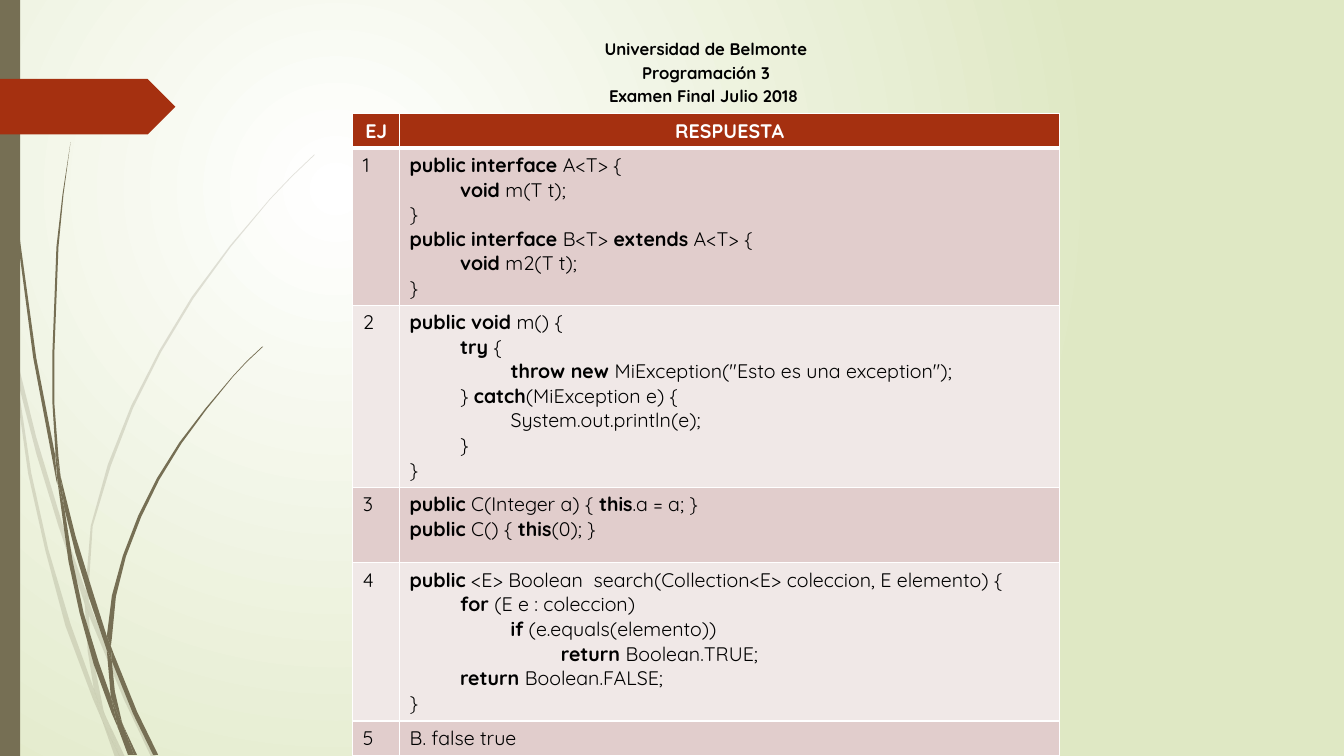
from dataclasses import dataclass
from lxml.etree import SubElement as Sub
from pptx import Presentation
from pptx.dml.color import RGBColor as Rgb
from pptx.enum.shapes import MSO_SHAPE as Kind
from pptx.enum.text import PP_ALIGN as Align
from pptx.oxml.ns import qn
from pptx.util import Pt


@dataclass(frozen=True)
class Theme:
    """Colours, font and type sizes of the slide."""
    font: str = "Quicksand"
    head: int = 12
    body: int = 14
    ink: str = "000000"
    white: str = "FFFFFF"
    lime: str = "DFE8C4"
    olive: str = "766F54"
    rust: str = "A53010"
    bands: tuple = ("E1CDCC", "F0E8E7")
    faint: int = 20


T = Theme()
STEP = 36
UNIT = 0.72
TITLE = ["Universidad de Belmonte", "Programación 3", "Examen Final Julio 2018 "]
COLS = [33.5, 471.5]
ROWS = [
    (24.5, ["EJ"], ["RESPUESTA"]),
    (112.4, ["1"], ["*public interface* A<T> {", "\t*void* m(T t);", "}",
                    "*public interface* B<T> *extends* A<T> {",
                    "\t*void* m2(T t);", "}"]),
    (130, ["2"], ["*public void* m() {", "\t*try* {",
                  '\t\t*throw new *MiException("Esto es una exception");',
                  "\t} *catch*(MiException e) {",
                  "\t\tSystem.out.println(e);", "\t}", "}"]),
    (54, ["3"], ["*public* C(Integer a) { *this*.a = a; }",
                 "*public* C() { *this*(0); }"]),
    (113, ["4"], ["*public* <E> Boolean  search(Collection<E> coleccion, E elemento) {",
                  "\t*for* (E e : coleccion)", "\t\t*if* (e.equals(elemento))",
                  "\t\t\t*return *Boolean.TRUE;", "\t*return *Boolean.FALSE;", "}"]),
    (25, ["5"], ["B. false true"]),
]
FAINT = [
    "11,350 9,322 0,282 0,299 10,344",
    "58,522 84,599 85,586 62,520 36,434 14,345 17,376 36,450",
    "92,607 88,596 88,610 123,694 150,751 155,751 127,692",
    "119,751 124,751 105,711",
    "93,683 70,619 48,545 31,469 17,376 11,350 28,470 45,546 65,621 92,693 101,714 99,707",
    "84,599 87,646 93,683 96,692 105,711 103,706 91,646 88,610 88,608",
    "88,584 92,522 110,462 132,405 160,349 192,296 229,245 268,198 290,175 312,154 312,153 "
    "289,175 268,197 228,244 190,295 158,348 130,403 107,461 90,522 85,584 85,586 88,596",
    "101,714 114,751 119,751",
    "88,608 88,610 88,596 85,586 84,599",
    "96,692 93,683 99,707 101,714 119,751 105,711",
]
SOLID = [
    "7,110 17,233 33,355 56,477 57,481 55,457 55,453 36,355 19,232 8,109 5,48 4,0 3,0 4,48",
    "88,592 106,645 106,631 93,590 75,532 60,472 64,505 75,549",
    "113,649 110,641 111,656 132,708 152,749 157,749 136,706",
    "110,691 98,657 83,608 72,556 64,505 57,477 68,557 79,608 93,659 111,708 117,722 116,717",
    "60,472 58,453 54,401 54,349 58,245 63,193 70,141 62,193 56,245 52,349 52,400 55,449",
    "133,749 136,749 122,719",
    "57,477 64,505 60,472 55,449 55,453",
    "111,633 115,592 125,552 140,513 158,476 180,440 205,406 231,374 245,359 261,344 260,344 "
    "245,358 231,373 204,405 178,439 156,474 137,512 122,551 111,591 106,631 110,641",
    "117,722 127,749 131,749",
    "106,645 110,691 116,706 122,719 121,716 114,686 111,656 109,651",
    "106,645 109,651 111,656 110,641 106,631",
    "116,706 110,691 116,717 117,722 130,749 133,749 122,719",
]


def paint(shape, color):
    """Give a shape a flat fill with no line or shadow."""
    shape.shadow.inherit = False
    shape.fill.solid()
    shape.fill.fore_color.rgb = Rgb.from_string(color)
    shape.line.fill.background()


def style(par, size, color):
    """Set the font of a paragraph."""
    par.font.name, par.font.size = T.font, Pt(size)
    par.font.color.rgb = Rgb.from_string(color)


def blade(slide, box, text, alpha=100):
    """Draw one piece of grass from its outline in grid units."""
    pairs = [map(int, pair.split(",")) for pair in text.split()]
    dots = [(Pt(box[0] + x * UNIT), Pt(box[1] + y * UNIT)) for x, y in pairs]
    pen = slide.shapes.build_freeform(*dots[0])
    pen.add_line_segments(dots[1:])
    shape = pen.convert_to_shape()
    paint(shape, T.olive)
    if alpha < 100:
        tint = shape._element.spPr.find(qn("a:solidFill"))[0]
        Sub(tint, qn("a:alpha"), val=str(alpha * 1000))


def decor(slide, box):
    """Draw the grass, the side bar and the arrow tag."""
    x, y, _, high = box
    for text in FAINT:
        blade(slide, box, text, T.faint)
    for text in SOLID:
        blade(slide, box, text)
    bar = slide.shapes.add_shape(Kind.RECTANGLE, Pt(x), Pt(y), Pt(14.4), Pt(high))
    paint(bar, T.olive)
    tag = slide.shapes.add_shape(Kind.PENTAGON, Pt(x), Pt(y + 56.3), Pt(125.3), Pt(39.8))
    paint(tag, T.rust)


def title(slide, box):
    """Place the centred heading lines."""
    frame = slide.shapes.add_textbox(*map(Pt, box)).text_frame
    frame.word_wrap = True
    for i, line in enumerate(TITLE):
        par = frame.add_paragraph() if i else frame.paragraphs[0]
        par.text, par.alignment = line, Align.CENTER
        par.space_before = Pt(T.head * 0.2)
        style(par, T.head, T.ink)
        par.font.bold = True


def write(cell, lines, head):
    """Fill a cell with lines: tabs indent, stars mark bold."""
    for i, line in enumerate(lines):
        par = cell.text_frame.add_paragraph() if i else cell.text_frame.paragraphs[0]
        style(par, T.body, T.white if head else T.ink)
        par.level = line.count("\t")
        par._p.get_or_add_pPr().set("marL", str(Pt(STEP * par.level)))
        if head:
            par.alignment = Align.CENTER
        for n, part in enumerate(line.strip("\t").split("*")):
            if part:
                run = par.add_run()
                run.text, run.font.bold = part, head or n % 2 == 1


def edge(cell, base):
    """Draw white borders, with the given width at the bottom."""
    props = cell._tc.get_or_add_tcPr()
    for side in "LRTB":
        wide = base if side == "B" else 1
        line = Sub(props, qn("a:ln" + side), w=str(Pt(wide)))
        Sub(Sub(line, qn("a:solidFill")), qn("a:srgbClr"), val=T.white)


def answers(slide, box):
    """Build the table of answers."""
    grid = slide.shapes.add_table(len(ROWS), len(COLS), *map(Pt, box)).table
    for col, wide in zip(grid.columns, COLS):
        col.width = Pt(wide)
    for r, (high, *texts) in enumerate(ROWS):
        grid.rows[r].height = Pt(high)
        for c, lines in enumerate(texts):
            cell = grid.cell(r, c)
            write(cell, lines, r == 0)
            edge(cell, 1 if r else 3)
            cell.fill.solid()
            color = T.bands[(r - 1) % 2] if r else T.rust
            cell.fill.fore_color.rgb = Rgb.from_string(color)


def backdrop(slide):
    """Set the round gradient behind the slide."""
    fill = slide.background.fill
    fill.gradient()
    for stop, color in zip(fill.gradient_stops, (T.white, T.lime)):
        stop.color.rgb = Rgb.from_string(color)
    line = slide._element.find(".//" + qn("a:lin"))
    grad = line.getparent()
    grad.remove(line)
    ring = Sub(grad, qn("a:path"), path="circle")
    Sub(ring, qn("a:fillToRect"), l="50000", t="50000", r="100000", b="100000")


deck = Presentation()
deck.slide_width, deck.slide_height = Pt(960), Pt(540)
page = deck.slides.add_slide(deck.slide_layouts[6])
backdrop(page)
decor(page, (0, 0, 225, 540))
title(page, (292.3, 24.2, 424, 57))
answers(page, (252, 81.1, sum(COLS), sum(row[0] for row in ROWS)))
deck.save("out.pptx")
